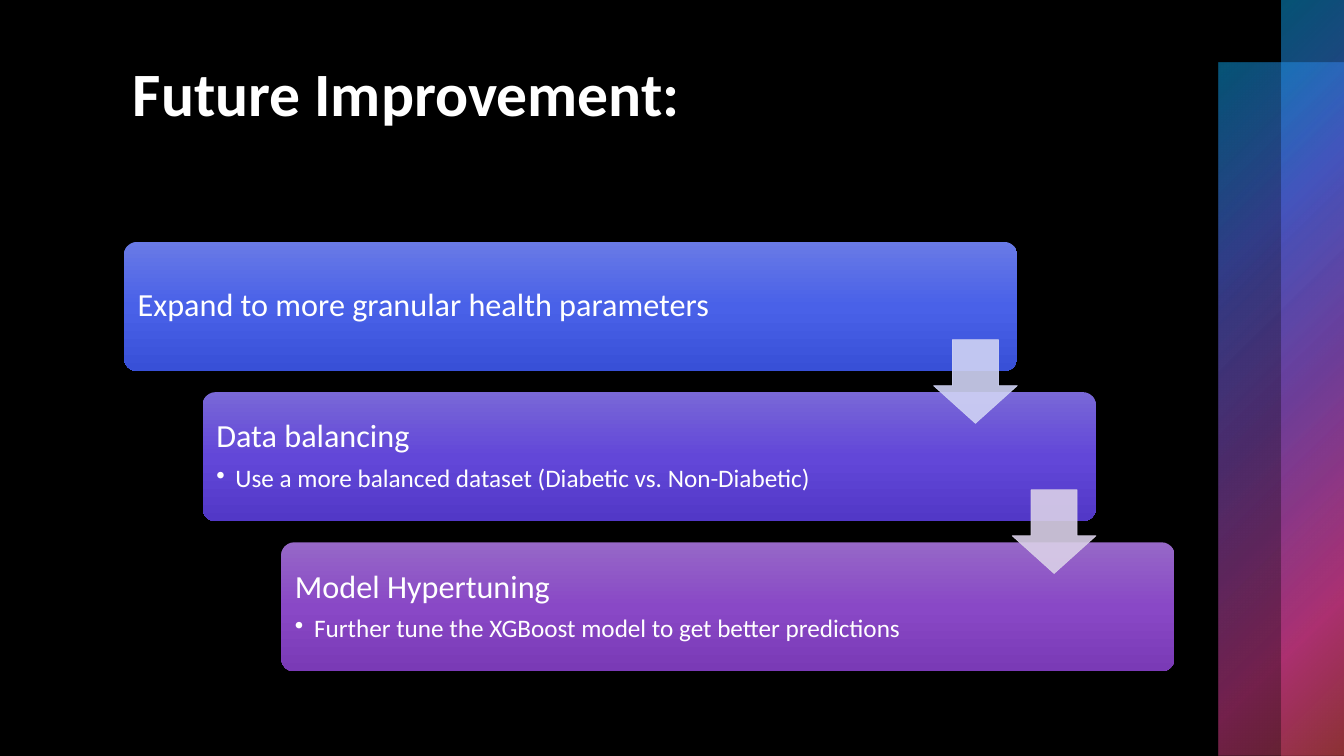
import pptx
import pptx.util
import pptx.dml.color
import pptx.enum.shapes
import pptx.enum.text
import pptx.oxml
from pptx.oxml.ns import qn

TITLE = "Future Improvement:"
STEPS = [
    ("Expand to more granular health parameters", None),
    ("Data balancing", "Use a more balanced dataset (Diabetic vs. Non-Diabetic)"),
    ("Model Hypertuning", "Further tune the XGBoost model to get better predictions"),
]
FONT = "Calibri"
COLORS = {"background": "000000", "text": "FFFFFF"}
CARD_COLORS = [
    ("697AE6", "4961E8", "3850D7"),
    ("7968D7", "6247D8", "5238C7"),
    ("9668C7", "8948C6", "7A3AB6"),
]
ARROW_COLORS = ["D0D3F4", "DAD0E8"]
ARROW_OPACITY = 90
# position %, colour, opacity %
STRIPE_STOPS = [(0, "0BA5E8", 50), (25, "5066E1", 60), (50, "894EC0", 55),
                (81, "E54196", 50), (99, "BE4449", 50)]

# Inches
SLIDE_W, SLIDE_H = 13.33, 7.5
STRIPE = 0.62
CARD_LEFT, CARD_TOP, CARD_W, CARD_H = 1.23, 2.4, 8.86, 1.28
STEP_X, STEP_Y = 0.78, 1.49
ARROW, ARROW_DROP = 0.83, 0.97
PADDING, BULLET_INDENT = 0.1, 0.19

NS = 'xmlns:a="http://schemas.openxmlformats.org/drawingml/2006/main"'
RADIAL = '<a:path path="circle"><a:fillToRect r="100000" b="100000"/></a:path>'
DOWNWARD = '<a:lin ang="5400000" scaled="0"/>'
SHAPE = pptx.enum.shapes.MSO_SHAPE
inches = pptx.util.Inches
points = pptx.util.Pt


def rgb(color):
    return pptx.dml.color.RGBColor.from_string(color)


def color_xml(color, opacity):
    return f'<a:srgbClr val="{color}"><a:alpha val="{opacity * 1000}"/></a:srgbClr>'


def solid_xml(color, opacity):
    return f"<a:solidFill {NS}>{color_xml(color, opacity)}</a:solidFill>"


def gradient_xml(stops, direction):
    stop_list = "".join(f'<a:gs pos="{position * 1000}">{color_xml(color, opacity)}</a:gs>'
                        for position, color, opacity in stops)
    return f'<a:gradFill {NS} rotWithShape="1"><a:gsLst>{stop_list}</a:gsLst>{direction}</a:gradFill>'


def swap_fill(parent, fill_xml):
    """Put the given fill where the empty fill of a shape or line stands."""
    parent.replace(parent.find(qn("a:noFill")), pptx.oxml.parse_xml(fill_xml))


def add_filled(slide, kind, box, fill_xml):
    shape = slide.shapes.add_shape(kind, *map(inches, box))
    shape.shadow.inherit = False
    shape.fill.background()
    shape.line.fill.background()
    swap_fill(shape._element.spPr, fill_xml)
    return shape


def style(paragraph, text, size, space_after=0, bold=False):
    paragraph.text = text
    paragraph.alignment = pptx.enum.text.PP_ALIGN.LEFT
    paragraph.space_after = points(space_after)
    font = paragraph.font
    font.name, font.size, font.bold = FONT, points(size), bold
    font.color.rgb = rgb(COLORS["text"])


def add_bullet(paragraph):
    properties = paragraph._p.get_or_add_pPr()
    properties.set("marL", str(inches(BULLET_INDENT)))
    properties.set("indent", str(-inches(BULLET_INDENT)))
    bullet = pptx.oxml.parse_xml(f'<a:buChar {NS} char="•"/>')
    properties.find(qn("a:spcAft")).addnext(bullet)


def add_stripes(slide):
    fill = gradient_xml(STRIPE_STOPS, RADIAL)
    for width, top in ((2 * STRIPE, STRIPE), (STRIPE, 0)):
        add_filled(slide, SHAPE.RECTANGLE, (SLIDE_W - width, top, width, SLIDE_H - top), fill)


def add_title(slide):
    title = slide.shapes.add_textbox(*map(inches, (1.22, 0.5, 10.37, 1.7))).text_frame
    title.word_wrap = True
    style(title.paragraphs[0], TITLE, 44, bold=True)


def add_card(slide, index):
    box = (CARD_LEFT + index * STEP_X, CARD_TOP + index * STEP_Y, CARD_W, CARD_H)
    stops = [(position, color, 100) for position, color in zip((0, 50, 100), CARD_COLORS[index])]
    card = add_filled(slide, SHAPE.ROUNDED_RECTANGLE, box, gradient_xml(stops, DOWNWARD))
    card.adjustments[0] = 0.1
    frame = card.text_frame
    frame.word_wrap = True
    frame.vertical_anchor = pptx.enum.text.MSO_ANCHOR.MIDDLE
    frame.margin_left = frame.margin_right = inches(PADDING)
    frame.margin_top = frame.margin_bottom = inches(PADDING)

    heading, detail = STEPS[index]
    style(frame.paragraphs[0], heading, 23, space_after=8)
    frame.paragraphs[0].line_spacing = 0.9
    if detail:
        point = frame.add_paragraph()
        style(point, detail, 18, space_after=3)
        point.level = 1
        point.line_spacing = 0.9
        add_bullet(point)


def add_arrow(slide, index):
    """Link a card to the next one, flush with the first card's right edge."""
    left = CARD_LEFT + index * STEP_X + CARD_W - ARROW
    top = CARD_TOP + index * STEP_Y + ARROW_DROP
    fill = solid_xml(ARROW_COLORS[index], ARROW_OPACITY)
    arrow = add_filled(slide, SHAPE.DOWN_ARROW, (left, top, ARROW, ARROW), fill)
    arrow.adjustments[0], arrow.adjustments[1] = 0.55, 0.45
    arrow.line.width = points(0.5)
    swap_fill(arrow._element.spPr.find(qn("a:ln")), fill)


def main():
    deck = pptx.Presentation()
    deck.slide_width, deck.slide_height = inches(SLIDE_W), inches(SLIDE_H)
    slide = deck.slides.add_slide(deck.slide_layouts[6])
    slide.background.fill.solid()
    slide.background.fill.fore_color.rgb = rgb(COLORS["background"])
    add_stripes(slide)
    add_title(slide)
    for index in range(len(STEPS)):
        add_card(slide, index)
    for index in range(len(ARROW_COLORS)):
        add_arrow(slide, index)
    deck.save("out.pptx")


if __name__ == "__main__":
    main()
